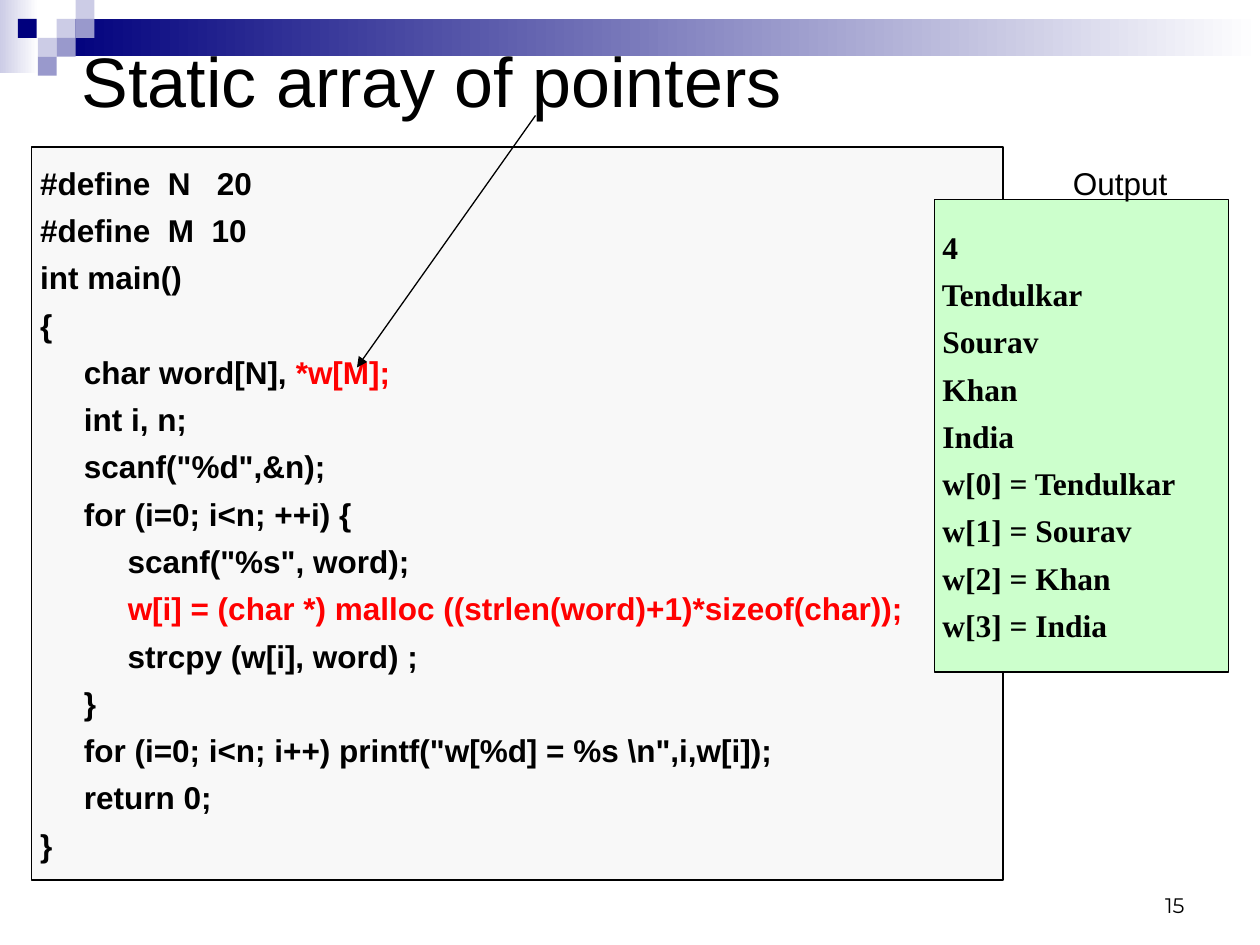
"""Builds the slide on a static array of pointers."""
from lxml import etree
from pptx import Presentation
from pptx.dml.color import RGBColor
from pptx.enum.shapes import MSO_CONNECTOR, MSO_SHAPE
from pptx.enum.text import MSO_ANCHOR, MSO_AUTO_SIZE, PP_ALIGN
from pptx.oxml.ns import qn
from pptx.util import Pt

RECT, LINE = MSO_SHAPE.RECTANGLE, MSO_CONNECTOR.STRAIGHT
TOP, MIDDLE, BOTTOM = MSO_ANCHOR.TOP, MSO_ANCHOR.MIDDLE, MSO_ANCHOR.BOTTOM
LEFT, RIGHT = PP_ALIGN.LEFT, PP_ALIGN.RIGHT
NO_FIT = MSO_AUTO_SIZE.NONE

COLORS = {"black": "000000", "white": "FFFFFF", "red": "FF0000", "navy": "00007D",
          "violet": "9999CC", "lilac": "CCCCE6", "gray": "F8F8F8", "green": "CCFFCC"}

SQUARES = [(32.4, 10.8, "lilac"), (43.2, 0, "lilac"), (43.2, 10.8, "violet"),
           (21.6, 21.6, "lilac"), (10.2, 10.8, "navy"), (32.4, 21.6, "violet"),
           (21.6, 32.4, "violet")]

CODE = [
    " #define  N   20",
    " #define  M  10",
    " int main()",
    " {",
    ["      char word[N], ", ("*w[M];", "red")],
    "      int i, n;",
    '      scanf("%d",&n);',
    "      for (i=0; i<n; ++i) {",
    '           scanf("%s", word);',
    ["           ", ("w[i] = (char *) malloc ((strlen(word)+1)*sizeof(char));", "red")],
    "           strcpy (w[i], word) ;",
    "      }",
    '      for (i=0; i<n; i++) printf("w[%d] = %s \\n",i,w[i]);',
    "      return 0;",
    " }",
]
NAMES = ["Tendulkar", "Sourav", "Khan", "India"]
OUTPUT = [" 4"] + [f" {name}" for name in NAMES]
OUTPUT += [f" w[{i}] = {name}" for i, name in enumerate(NAMES)]


def rgb(name):
    """Returns the named colour."""
    return RGBColor.from_string(COLORS[name])


def write(tf, lines, font="Arial", size=18, bold=False, align=LEFT, anchor=TOP,
          gap=0, inset=None):
    """Fills a text frame; a line is a string or a list of strings and (text, colour) pairs."""
    tf.word_wrap, tf.auto_size, tf.vertical_anchor = True, NO_FIT, anchor
    if inset is not None:
        tf.margin_left = tf.margin_right = tf.margin_top = tf.margin_bottom = Pt(inset)
    for i, line in enumerate(lines):
        p = tf.add_paragraph() if i else tf.paragraphs[0]
        p.alignment = align
        p.space_before = Pt(gap if i else 0)
        for part in [line] if isinstance(line, str) else line:
            text, color = (part, "black") if isinstance(part, str) else part
            r = p.add_run()
            r.text = text
            r.font.name, r.font.size, r.font.bold = font, Pt(size), bold
            r.font.color.rgb = rgb(color)


class Deck:
    """Holds the style and the current slide."""

    def __init__(self, prs):
        """Adds a title-only slide."""
        self.s = prs.slides.add_slide(prs.slide_layouts[5])
        self.panel_style = {"bold": True, "anchor": MIDDLE, "gap": 5.4, "inset": 0}

    def rect(self, x, y, w, h, *colors, line=None):
        """Adds a rectangle with a plain fill or a two-colour gradient."""
        sp = self.s.shapes.add_shape(RECT, Pt(x), Pt(y), Pt(w), Pt(h))
        sp.shadow.inherit = False
        if len(colors) == 2:
            sp.fill.gradient()
            sp.fill.gradient_angle = 0
            for stop, color in zip(sp.fill.gradient_stops, colors):
                stop.color.rgb = rgb(color)
        else:
            sp.fill.solid()
            sp.fill.fore_color.rgb = rgb(colors[0])
        if line:
            sp.line.color.rgb, sp.line.width = rgb(line), Pt(1)
        else:
            sp.line.fill.background()
        return sp

    def panel(self, x, y, w, h, color, lines, font):
        """Adds an outlined listing."""
        sp = self.rect(x, y, w, h, color, line="black")
        write(sp.text_frame, lines, font=font, **self.panel_style)

    def title(self, x, y, w, h, text):
        """Moves the title in front of the band and fills it."""
        sp = self.s.shapes.title
        sp.left, sp.top, sp.width, sp.height = Pt(x), Pt(y), Pt(w), Pt(h)
        self.s.shapes._spTree.append(sp._element)
        write(sp.text_frame, [text], size=40, anchor=MIDDLE)

    def label(self, x, y, w, h, text, **style):
        """Adds a text box."""
        sp = self.s.shapes.add_textbox(Pt(x), Pt(y), Pt(w), Pt(h))
        write(sp.text_frame, [text], **style)

    def arrow(self, x1, y1, x2, y2):
        """Adds a thin arrow."""
        sp = self.s.shapes.add_connector(LINE, Pt(x1), Pt(y1), Pt(x2), Pt(y2))
        sp.line.color.rgb, sp.line.width = rgb("black"), Pt(0.75)
        etree.SubElement(sp.line._get_or_add_ln(), qn("a:tailEnd"), type="triangle")
        etree.SubElement(sp._element.spPr, qn("a:effectLst"))


def main():
    """Builds and saves the slide."""
    prs = Presentation()
    prs.slide_width, prs.slide_height = Pt(720), Pt(540)
    deck = Deck(prs)
    deck.rect(0, 0, 22, 42, "lilac", "white")
    deck.rect(32.4, 10.8, 687.6, 21.4, "navy", "white")
    for x, y, color in SQUARES:
        deck.rect(x, y, 10.8, 10.8, color)
    deck.label(516, 492, 168, 36, "15", font="Montserrat", size=12, align=RIGHT, anchor=BOTTOM)
    deck.title(39.6, 18, 680.4, 55.2, "Static array of pointers")
    deck.panel(18, 84, 555, 419, "gray", CODE, "Arial")
    deck.panel(534, 114, 168, 270, "green", OUTPUT, "Times New Roman")
    deck.arrow(306, 66, 204, 210)
    deck.label(606, 90, 78, 29, "Output")
    prs.save("out.pptx")


if __name__ == "__main__":
    main()
